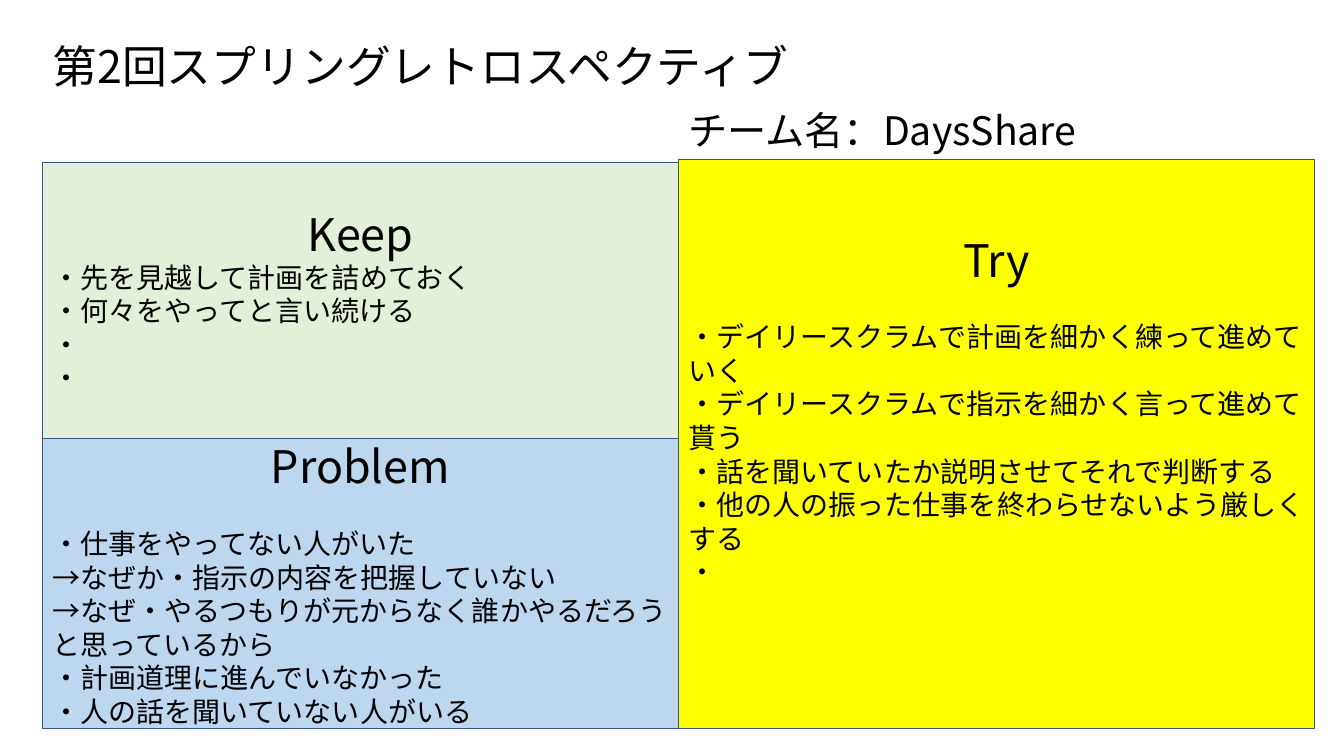
from dataclasses import dataclass

import lxml.etree
import pptx
import pptx.dml.color
import pptx.enum.shapes
import pptx.enum.text
import pptx.oxml.ns
import pptx.util

SLIDE_WIDTH = pptx.util.Inches(13.33)
SLIDE_HEIGHT = pptx.util.Inches(7.5)
FONT = "Noto Sans CJK JP"
HEADING_SIZE = 32
TEAM_SIZE = 28
ITEM_SIZE = 20
ITEM_LINE = 24
INSET = 3.6
LEFT, MIDDLE, COLUMN = 0.42, 6.73, 6.31
TRY_TOP, KEEP_TOP, PROBLEM_TOP, BOTTOM = 1.58, 1.61, 4.35, 7.23


@dataclass(frozen=True)
class Area:
    left: float
    top: float
    width: float
    height: float


@dataclass(frozen=True)
class Panel:
    heading: str
    area: Area
    fill: str
    items: tuple[str, ...]
    lines_after_heading: int = 0
    lines_below: int = 0


PANELS = (
    Panel("Try", Area(MIDDLE, TRY_TOP, COLUMN, BOTTOM - TRY_TOP), "FFFF00", (
        "・デイリースクラムで計画を細かく練って進めていく",
        "・デイリースクラムで指示を細かく言って進めて貰う",
        "・話を聞いていたか説明させてそれで判断する",
        "・他の人の振った仕事を終わらせないよう厳しくする",
        "・",
    ), lines_after_heading=1, lines_below=2),
    Panel("Keep", Area(LEFT, KEEP_TOP, COLUMN, PROBLEM_TOP - KEEP_TOP), "E2F0D9", (
        "・先を見越して計画を詰めておく",
        "・何々をやってと言い続ける",
        "・",
        "・",
    )),
    Panel("Problem", Area(LEFT, PROBLEM_TOP, COLUMN, BOTTOM - PROBLEM_TOP), "BDD7EE", (
        "・仕事をやってない人がいた",
        "→なぜか・指示の内容を把握していない",
        "→なぜ・やるつもりが元からなく誰かやるだろうと思っているから",
        "・計画道理に進んでいなかった",
        "・人の話を聞いていない人がいる",
    ), lines_after_heading=1),
)


def colour(value: str) -> pptx.dml.color.RGBColor:
    return pptx.dml.color.RGBColor.from_string(value)


def bounds(area: Area) -> tuple[int, ...]:
    return tuple(pptx.util.Inches(side)
                 for side in (area.left, area.top, area.width, area.height))


def write(paragraph, wording: str, size: float) -> None:
    paragraph.text = wording
    paragraph.alignment = pptx.enum.text.PP_ALIGN.LEFT
    font = paragraph.font
    font.size = pptx.util.Pt(size)
    font.name = FONT
    font.color.rgb = colour("000000")
    east_asian = lxml.etree.Element(pptx.oxml.ns.qn("a:ea"), typeface=FONT)
    font._element.find(pptx.oxml.ns.qn("a:latin")).addnext(east_asian)


def draw_label(slide, area: Area, wording: str, size: float):
    frame = slide.shapes.add_textbox(*bounds(area)).text_frame
    frame.word_wrap = True
    write(frame.paragraphs[0], wording, size)
    return frame


def draw_panel(slide, panel: Panel) -> None:
    box = slide.shapes.add_shape(
        pptx.enum.shapes.MSO_SHAPE.RECTANGLE, *bounds(panel.area))
    box.shadow.inherit = False
    box.fill.solid()
    box.fill.fore_color.rgb = colour(panel.fill)
    box.line.color.rgb = colour("325491")
    box.line.width = pptx.util.Pt(1)
    frame = box.text_frame
    frame.word_wrap = True
    frame.vertical_anchor = pptx.enum.text.MSO_ANCHOR.MIDDLE
    frame.margin_bottom = pptx.util.Pt(INSET + panel.lines_below * ITEM_LINE)
    heading = frame.paragraphs[0]
    write(heading, panel.heading, HEADING_SIZE)
    heading.alignment = pptx.enum.text.PP_ALIGN.CENTER
    heading.space_after = pptx.util.Pt(panel.lines_after_heading * ITEM_LINE)
    for item in panel.items:
        write(frame.add_paragraph(), item, ITEM_SIZE)


def main() -> None:
    deck = pptx.Presentation()
    deck.slide_width, deck.slide_height = SLIDE_WIDTH, SLIDE_HEIGHT
    slide = deck.slides.add_slide(deck.slide_layouts[6])
    title = draw_label(slide, Area(LEFT, 0.27, 12.48, 0.82),
                       "第2回スプリングレトロスペクティブ", HEADING_SIZE)
    title.vertical_anchor = pptx.enum.text.MSO_ANCHOR.MIDDLE
    title.paragraphs[0].line_spacing = 0.9
    for panel in PANELS:
        draw_panel(slide, panel)
    draw_label(slide, Area(MIDDLE, 1.01, COLUMN, TRY_TOP - 1.01),
               "チーム名：DaysShare", TEAM_SIZE)
    deck.save("out.pptx")


if __name__ == "__main__":
    main()
